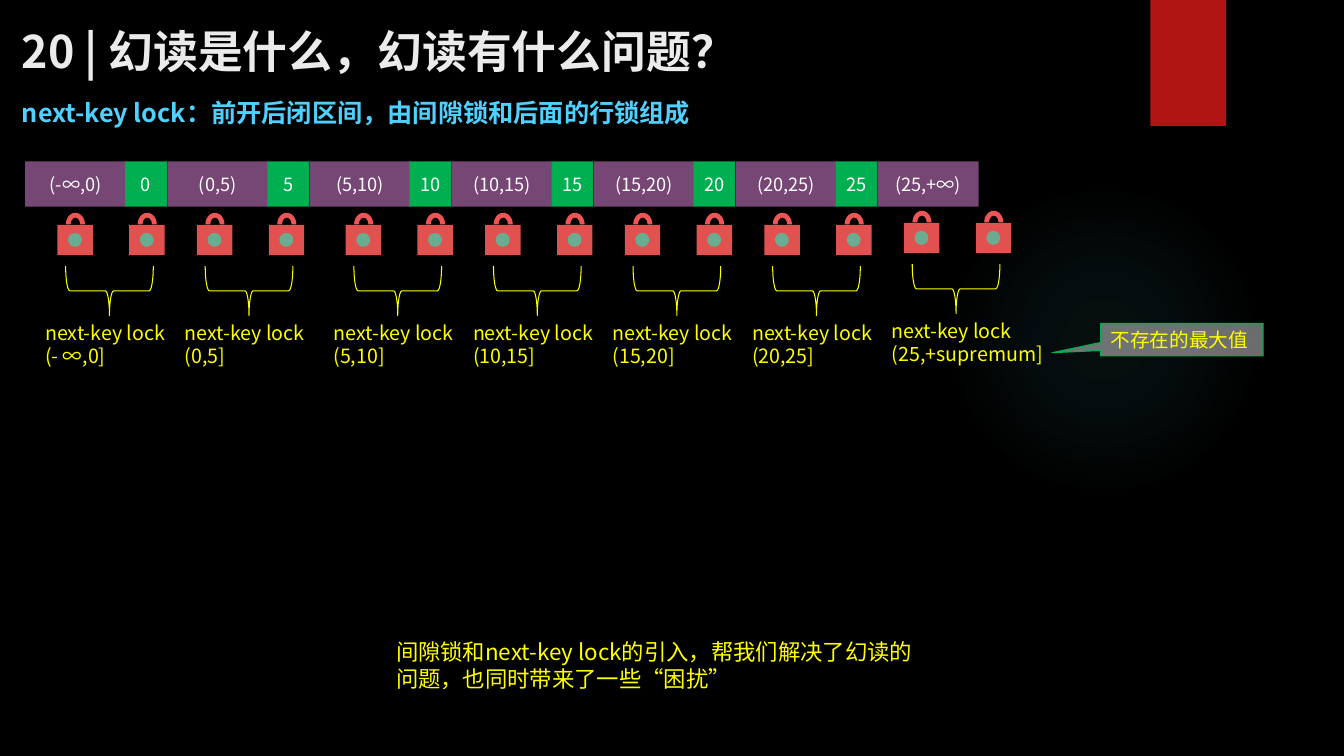
from lxml.etree import SubElement
from pptx import Presentation
from pptx.dml.color import RGBColor
from pptx.enum.shapes import MSO_SHAPE as Shape
from pptx.enum.text import MSO_ANCHOR as Anchor, MSO_AUTO_SIZE as Fit, PP_ALIGN as Align
from pptx.oxml import parse_xml
from pptx.oxml.ns import nsdecls, qn
from pptx.util import Pt

FACE = "Noto Sans CJK SC"
BLACK = RGBColor(0x00, 0x00, 0x00)
WHITE = RGBColor(0xFF, 0xFF, 0xFF)
PALE = RGBColor(0xEB, 0xEB, 0xEB)
SKY = RGBColor(0x4F, 0xD1, 0xFF)
TEAL = RGBColor(0x50, 0xB9, 0xC1)
CRIMSON = RGBColor(0xB0, 0x15, 0x13)
PURPLE = RGBColor(0x76, 0x46, 0x74)
GREEN = RGBColor(0x00, 0xB0, 0x50)
CORAL = RGBColor(0xED, 0x56, 0x54)
SAGE = RGBColor(0x6A, 0xAC, 0x90)
YELLOW = RGBColor(0xFF, 0xFF, 0x00)
GREY = RGBColor(0xD9, 0xD9, 0xD9)

TITLE = {"size": Pt(32), "bold": True, "color": PALE}
LEAD = {"size": Pt(18), "bold": True, "color": SKY}
CELL = {"size": Pt(13), "color": WHITE}
LABEL = {"size": Pt(14), "color": YELLOW}
NOTE = {"size": Pt(16), "color": YELLOW}

KEYS = ["0", "5", "10", "15", "20", "25"]
GAPS = ["(-∞,0)", "(0,5)", "(5,10)", "(10,15)", "(15,20)", "(20,25)", "(25,+∞)"]
RANGES = ["(- ∞,0]", "(0,5]", "(5,10]", "(10,15]", "(15,20]", "(20,25]", "(25,+supremum]"]
BAR_LEFT, BAR_TOP, BAR_PITCH = 18, 115.2, 101.5
LOCK_LEFT, LOCK_TOP, LOCK_PITCH, LOCK_STEP = 41, 152, 99.7, 51.3


def write(frame, lines, style, align=Align.LEFT):
    for i, line in enumerate(lines):
        para = frame.paragraphs[0] if i == 0 else frame.add_paragraph()
        para.alignment = align
        run = para.add_run()
        run.text = line
        run.font.name = FACE
        for key, value in style.items():
            if key == "color":
                run.font.color.rgb = value
            else:
                setattr(run.font, key, value)
        SubElement(run.font._element, qn("a:ea"), typeface=FACE)


def add_text(slide, box, lines, style, wrap=True, **form):
    frame = slide.shapes.add_textbox(*map(Pt, box)).text_frame
    frame.word_wrap = wrap
    for key, value in form.items():
        setattr(frame, key, value)
    write(frame, lines, style)


def add_form(shapes, kind, box, fill=None, line=None, alpha=None):
    """Add a preset shape; alpha is the fill's opacity in percent."""
    form = shapes.add_shape(kind, *map(Pt, box))
    form.shadow.inherit = False
    if fill is None:
        form.fill.background()
    else:
        form.fill.solid()
        form.fill.fore_color.rgb = fill
    if alpha is not None:
        color = form._element.spPr.find(qn("a:solidFill"))[0]
        SubElement(color, qn("a:alpha"), val=str(alpha * 1000))
    if line is None:
        form.line.fill.background()
    else:
        form.line.color.rgb = line
        form.line.width = Pt(0.75)
    return form


def add_glow(slide):
    """Add the faint circle that fades out towards its rim."""
    glow = add_form(slide.shapes, Shape.OVAL, (677.5, 131.8, 221.8, 221.8), TEAL)
    stops = "".join(
        f'<a:gs pos="{pos}000"><a:srgbClr val="{TEAL}"><a:alpha val="{alpha}000"/></a:srgbClr></a:gs>'
        for pos, alpha in ((0, 7), (36, 6), (69, 0), (100, 0)))
    grad = parse_xml(
        f'<a:gradFill {nsdecls("a")}><a:gsLst>{stops}</a:gsLst><a:path path="circle">'
        '<a:fillToRect l="50000" t="50000" r="50000" b="50000"/></a:path></a:gradFill>')
    props = glow._element.spPr
    props.replace(props.find(qn("a:solidFill")), grad)


def add_cell(slide, left, width, text, fill):
    cell = add_form(slide.shapes, Shape.RECTANGLE, (left, BAR_TOP, width, 32.4), fill)
    frame = cell.text_frame
    frame.margin_left = frame.margin_right = 0
    frame.vertical_anchor = Anchor.MIDDLE
    write(frame, [text], CELL, Align.CENTER)


def add_bar(slide):
    for i, gap in enumerate(GAPS):
        left = BAR_LEFT + i * BAR_PITCH
        add_cell(slide, left, 72, gap, PURPLE)
        if i < len(KEYS):
            add_cell(slide, left + 71.5, 29.7, KEYS[i], GREEN)


def add_lock(slide, left, top):
    parts = slide.shapes.add_group_shape().shapes
    add_form(parts, Shape.BLOCK_ARC, (left + 6, top, 13.7, 16.6), CORAL)
    add_form(parts, Shape.RECTANGLE, (left, top + 8.6, 25.3, 21.6), CORAL, alpha=95)
    add_form(parts, Shape.OVAL, (left + 7.5, top + 14.3, 10, 10), SAGE)


def add_pair(slide, left, top, span, width):
    """Add a gap lock and a row lock, braced together above their range."""
    for i in range(2):
        add_lock(slide, left + i * LOCK_STEP, top)
    brace = add_form(slide.shapes, Shape.LEFT_BRACE, (left + 19.6, top + 24.4, 35.3, 62.6), line=YELLOW)
    brace.rotation = 270
    add_text(slide, (left - 15.8, top + 73.4, width, 41), ["next-key lock", span], LABEL,
             auto_size=Fit.SHAPE_TO_FIT_TEXT)


def add_callout(slide):
    call = add_form(slide.shapes, Shape.RECTANGULAR_CALLOUT, (786.2, 231.1, 116, 23.2), GREY, GREEN, 50)
    call.adjustments[0], call.adjustments[1] = -0.8, 0.4
    call.text_frame.vertical_anchor = Anchor.MIDDLE
    write(call.text_frame, ["不存在的最大值"], LABEL)


def main():
    deck = Presentation()
    deck.slide_width, deck.slide_height = Pt(960), Pt(540)
    slide = deck.slides.add_slide(deck.slide_layouts[6])
    slide.background.fill.solid()
    slide.background.fill.fore_color.rgb = BLACK
    add_glow(slide)
    add_form(slide.shapes, Shape.RECTANGLE, (821.8, 0, 54, 90), CRIMSON)
    add_text(slide, (8.6, 12.2, 877.7, 47.5), ["20 | 幻读是什么，幻读有什么问题？"], TITLE,
             vertical_anchor=Anchor.MIDDLE)
    add_text(slide, (8.6, 66.2, 500.4, 29), ["next-key lock：前开后闭区间，由间隙锁和后面的行锁组成"],
             LEAD, wrap=False, auto_size=Fit.SHAPE_TO_FIT_TEXT)
    add_bar(slide)
    for i, span in enumerate(RANGES):
        last = i == len(RANGES) - 1
        left = LOCK_LEFT + i * LOCK_PITCH + (6.5 if i > 1 else 0)
        add_pair(slide, left, LOCK_TOP - (1.4 if last else 0), span, 126.7 if last else 110.2)
    add_callout(slide)
    add_text(slide, (275.8, 452.2, 388.8, 46),
             ["间隙锁和next-key lock的引入，帮我们解决了幻读的问题，也同时带来了一些“困扰”"],
             NOTE, auto_size=Fit.SHAPE_TO_FIT_TEXT)
    deck.save("out.pptx")


if __name__ == "__main__":
    main()
